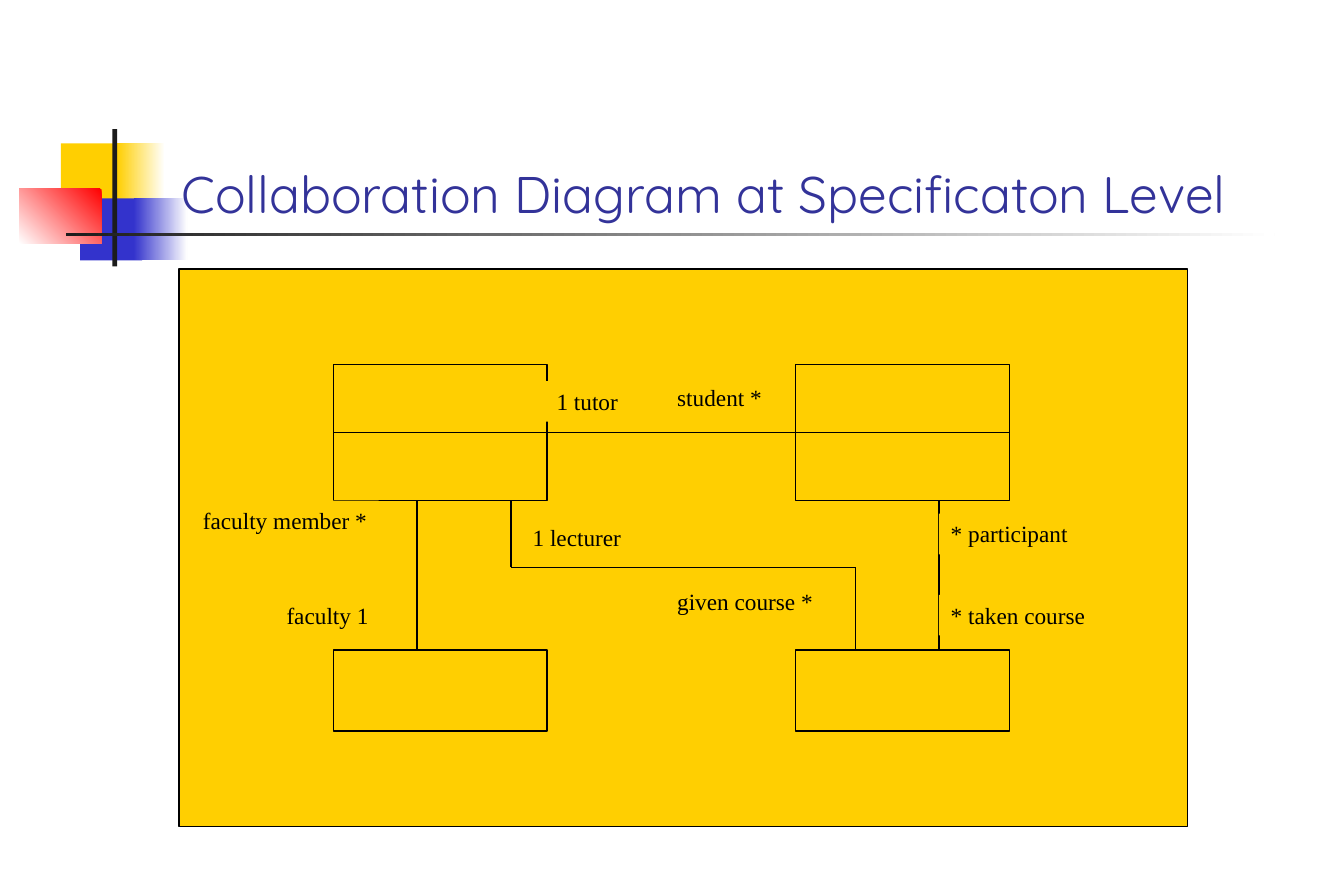
import pptx
import pptx.util
from pptx.dml.color import RGBColor
from pptx.enum.shapes import MSO_CONNECTOR, MSO_SHAPE
from pptx.enum.text import MSO_ANCHOR, MSO_AUTO_SIZE, PP_ALIGN
from pptx.oxml.ns import qn
from lxml import etree

Inches, Pt = pptx.util.Inches, pptx.util.Pt


class Theme:
    yellow, blue, red = "FFCF01", "3333CC", "FF0000"
    dark, white, black, title = "1C1C1C", "FFFFFF", "000000", "333399"
    title_font, label_font = "Quicksand", "Times New Roman"
    title_size, label_size, line = Pt(31), Pt(14), Pt(1)


def rgb(color):
    return RGBColor.from_string(color)


def add_rect(s, x, y, w, h, color, outlined=False, fade=None):
    """Rectangle; fade is the angle at which its colour runs to white."""
    sp = s.shapes.add_shape(MSO_SHAPE.RECTANGLE, Inches(x), Inches(y), Inches(w), Inches(h))
    sp.shadow.inherit = False
    if fade is None:
        sp.fill.solid()
        sp.fill.fore_color.rgb = rgb(color)
    else:
        sp.fill.gradient()
        sp.fill.gradient_angle = fade
        for stop, stop_color in zip(sp.fill.gradient_stops, (color, Theme.white)):
            stop.color.rgb = rgb(stop_color)
    if outlined:
        sp.line.color.rgb = rgb(Theme.black)
        sp.line.width = Theme.line
    else:
        sp.line.fill.background()
    return sp


def add_line(s, x1=0, y1=0, x2=0, y2=0):
    cx = s.shapes.add_connector(MSO_CONNECTOR.STRAIGHT,
                                Inches(x1), Inches(y1), Inches(x2), Inches(y2))
    cx.line.color.rgb = rgb(Theme.black)
    cx.line.width = Theme.line
    etree.SubElement(cx._element.spPr, qn("a:effectLst"))
    return cx


def join(s, start, start_side, end, end_side):
    cx = add_line(s)
    cx.begin_connect(start, start_side)
    cx.end_connect(end, end_side)


def add_run(p, text, font, size, color):
    r = p.add_run()
    r.text = text
    r.font.name, r.font.size = font, size
    r.font.color.rgb = rgb(color)


def add_label(s, x, y, w, text):
    sp = add_rect(s, x, y, w, 0.34, Theme.yellow)
    tf = sp.text_frame
    tf.word_wrap, tf.auto_size = True, MSO_AUTO_SIZE.NONE
    tf.vertical_anchor = MSO_ANCHOR.TOP
    tf.margin_right = 0
    p = tf.paragraphs[0]
    p.alignment = PP_ALIGN.LEFT
    add_run(p, text, Theme.label_font, Theme.label_size, Theme.black)


def ornament(s, x, y):
    """Coloured blocks and crossing bars beside the title."""
    for dx, dy, w, h, color, fade in (
        (0.35, 0.12, 0.54, 0.52, Theme.yellow, None),
        (0.82, 0.12, 0.40, 0.52, Theme.yellow, 0),
        (0.51, 0.58, 0.52, 0.52, Theme.blue, None),
        (0.96, 0.58, 0.45, 0.52, Theme.blue, 0),
        (0.00, 0.50, 0.69, 0.46, Theme.red, 225),
        (0.78, 0.00, 0.04, 1.15, Theme.dark, None),
        (0.39, 0.87, 10.12, 0.03, Theme.dark, 0),
    ):
        add_rect(s, x + dx, y + dy, w, h, color, fade=fade)


def heading(s, x, y, w, h, text):
    title = s.shapes.title
    s.shapes.element.append(title.element)  # in front of the ornament
    title.left, title.top, title.width, title.height = map(Inches, (x, y, w, h))
    tf = title.text_frame
    tf.word_wrap, tf.auto_size = True, MSO_AUTO_SIZE.NONE
    tf.vertical_anchor = MSO_ANCHOR.BOTTOM
    p = tf.paragraphs[0]
    p.alignment = PP_ALIGN.LEFT
    add_run(p, text, Theme.title_font, Theme.title_size, Theme.title)


def collaboration(s, x, y, w, h):
    """Two roles above two subjects, with labelled associations."""
    add_rect(s, x, y, w, h, Theme.yellow, outlined=True)
    columns, box_w = (x + 1.29, x + 5.16), 1.79
    role_top, role_h = y + 0.8, 1.14
    subject_top, subject_h = y + 3.19, 0.68
    role_bottom, bend = role_top + role_h, y + 2.5

    # Boxes
    roles = []
    for column in columns:
        role = add_rect(s, column, role_top, box_w, role_h, Theme.yellow, outlined=True)
        join(s, role, 1, role, 3)
        roles.append(role)
        add_rect(s, column, subject_top, box_w, subject_h, Theme.yellow, outlined=True)

    # Associations
    join(s, roles[0], 3, roles[1], 1)
    for route in (
        ((x + 1.99, role_bottom), (x + 1.99, subject_top)),
        ((x + 6.36, role_bottom), (x + 6.36, subject_top)),
        ((x + 2.78, role_bottom), (x + 2.78, bend), (x + 5.66, bend), (x + 5.66, subject_top)),
    ):
        for start, end in zip(route, route[1:]):
            add_line(s, *start, *end)

    # Association ends
    for dx, dy, label_w, text in (
        (3.06, 0.94, 0.71, "1 tutor"),
        (4.07, 0.91, 0.91, "student *"),
        (0.80, 2.73, 0.89, "faculty 1"),
        (0.10, 1.94, 1.57, "faculty member *"),
        (2.86, 2.08, 0.99, "1 lecturer"),
        (4.07, 2.62, 1.34, "given course *"),
        (6.36, 2.73, 1.37, "* taken course"),
        (6.36, 2.05, 1.23, "* participant"),
    ):
        add_label(s, x + dx, y + dy, label_w, text)


def main():
    prs = pptx.Presentation()
    prs.slide_width, prs.slide_height = Inches(11.25), Inches(7.5)
    s = prs.slides.add_slide(prs.slide_layouts[5])
    ornament(s, 0.16, 1.08)
    heading(s, 1.42, 0.67, 9.59, 1.25, "Collaboration Diagram at Specificaton Level")
    collaboration(s, 1.5, 2.25, 8.44, 4.67)
    prs.save("out.pptx")


if __name__ == "__main__":
    main()
